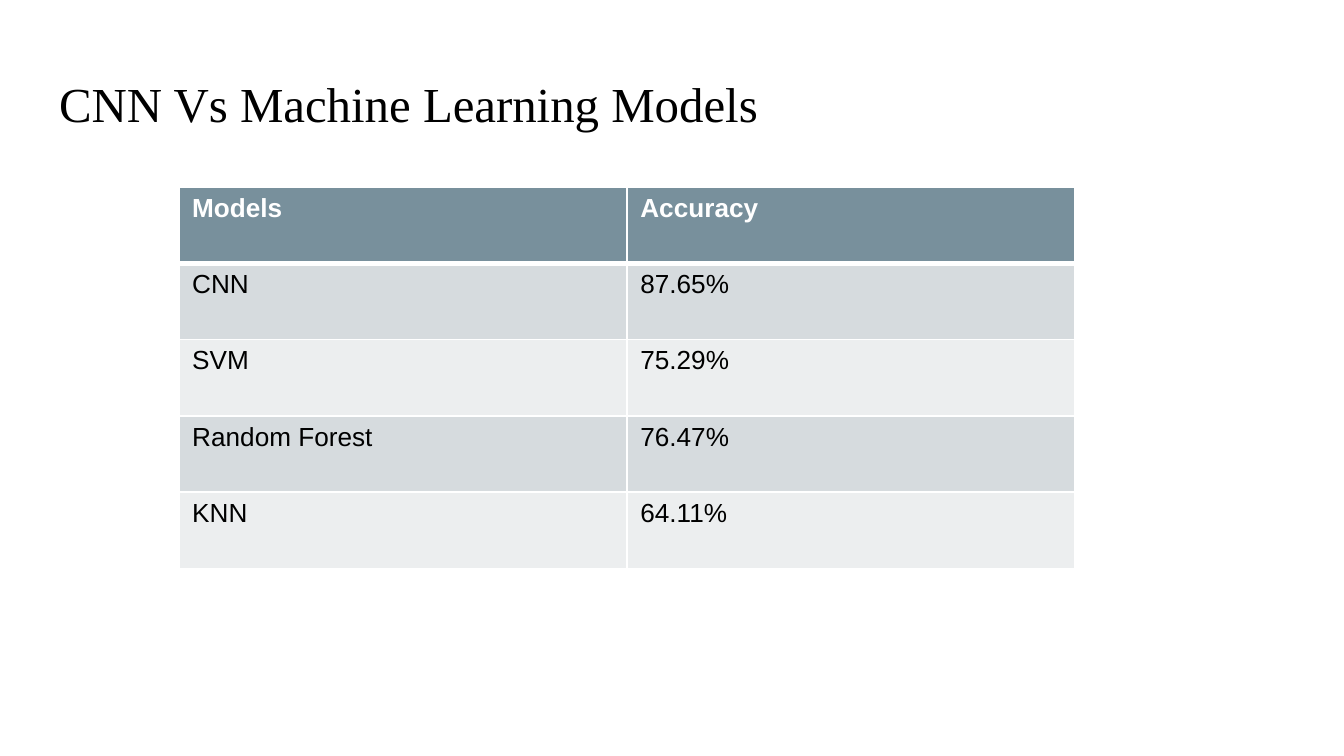
from lxml.etree import SubElement
from pptx import Presentation
from pptx.dml.color import RGBColor
from pptx.enum.text import MSO_ANCHOR, MSO_AUTO_SIZE, PP_ALIGN
from pptx.oxml.ns import qn
from pptx.util import Inches, Pt

COLORS = {
    "text": "000000",
    "header": "78909C",
    "header_text": "FFFFFF",
    "odd_row": "D6DBDE",
    "even_row": "ECEEEF",
    "border": "FFFFFF",
}
RESULTS = [
    ("Models", "Accuracy"),
    ("CNN", "87.65%"),
    ("SVM", "75.29%"),
    ("Random Forest", "76.47%"),
    ("KNN", "64.11%"),
]


def color(name):
    return RGBColor.from_string(COLORS[name])


def style_runs(paragraph, font_name, size, color_name, bold=False):
    for run in paragraph.runs:
        run.font.name = font_name
        run.font.size = Pt(size)
        run.font.bold = bold
        run.font.color.rgb = color(color_name)


def set_borders(cell, widths):
    """Draw solid cell borders; widths maps L, R, T, B to points."""
    properties = cell._tc.get_or_add_tcPr()
    for side, width in widths.items():
        line = SubElement(properties, qn(f"a:ln{side}"), w=str(Pt(width)))
        fill = SubElement(line, qn("a:solidFill"))
        SubElement(fill, qn("a:srgbClr"), val=COLORS["border"])


def add_title(slide, left, top, width, height):
    title = slide.shapes.title
    title.left, title.top = Inches(left), Inches(top)
    title.width, title.height = Inches(width), Inches(height)
    frame = title.text_frame
    frame.text = "CNN Vs Machine Learning Models"
    frame.word_wrap = True
    frame.auto_size = MSO_AUTO_SIZE.NONE
    frame.vertical_anchor = MSO_ANCHOR.TOP
    frame.margin_left = frame.margin_right = Inches(0.1)
    frame.margin_top = frame.margin_bottom = Inches(0.1)
    heading = frame.paragraphs[0]
    heading.alignment = PP_ALIGN.LEFT
    style_runs(heading, "Times New Roman", 26.2, "text")


def add_accuracy_table(slide, left, top, width, height):
    row_count, column_count = len(RESULTS), len(RESULTS[0])
    table = slide.shapes.add_table(
        row_count, column_count,
        Inches(left), Inches(top), Inches(width), Inches(height),
    ).table
    for r, values in enumerate(RESULTS):
        is_header = r == 0
        fill_name = "header" if is_header else "odd_row" if r % 2 else "even_row"
        for c, value in enumerate(values):
            cell = table.cell(r, c)
            cell.text = value
            style_runs(cell.text_frame.paragraphs[0], "Arial", 14,
                       "header_text" if is_header else "text", is_header)
            set_borders(cell, {"L": 1, "R": 1, "T": 3 if r == 1 else 1,
                               "B": 3 if is_header else 1})
            cell.fill.solid()
            cell.fill.fore_color.rgb = color(fill_name)


def main():
    presentation = Presentation()
    presentation.slide_width = Inches(10)
    presentation.slide_height = presentation.slide_width * 9 // 16
    slide = presentation.slides.add_slide(presentation.slide_layouts[5])
    add_title(slide, 0.34, 0.45, 9.32, 0.63)
    add_accuracy_table(slide, 1.33, 1.39, 6.67, 2.84)
    presentation.save("out.pptx")


if __name__ == "__main__":
    main()
